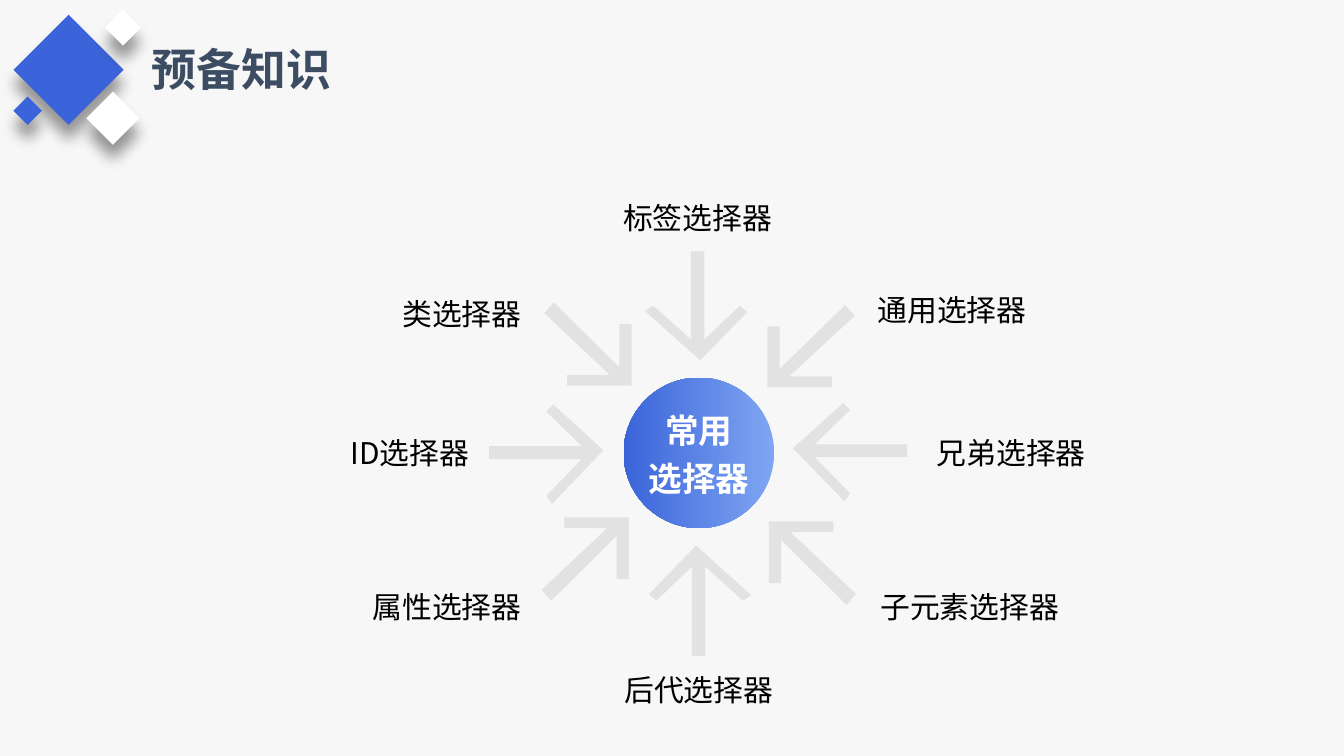
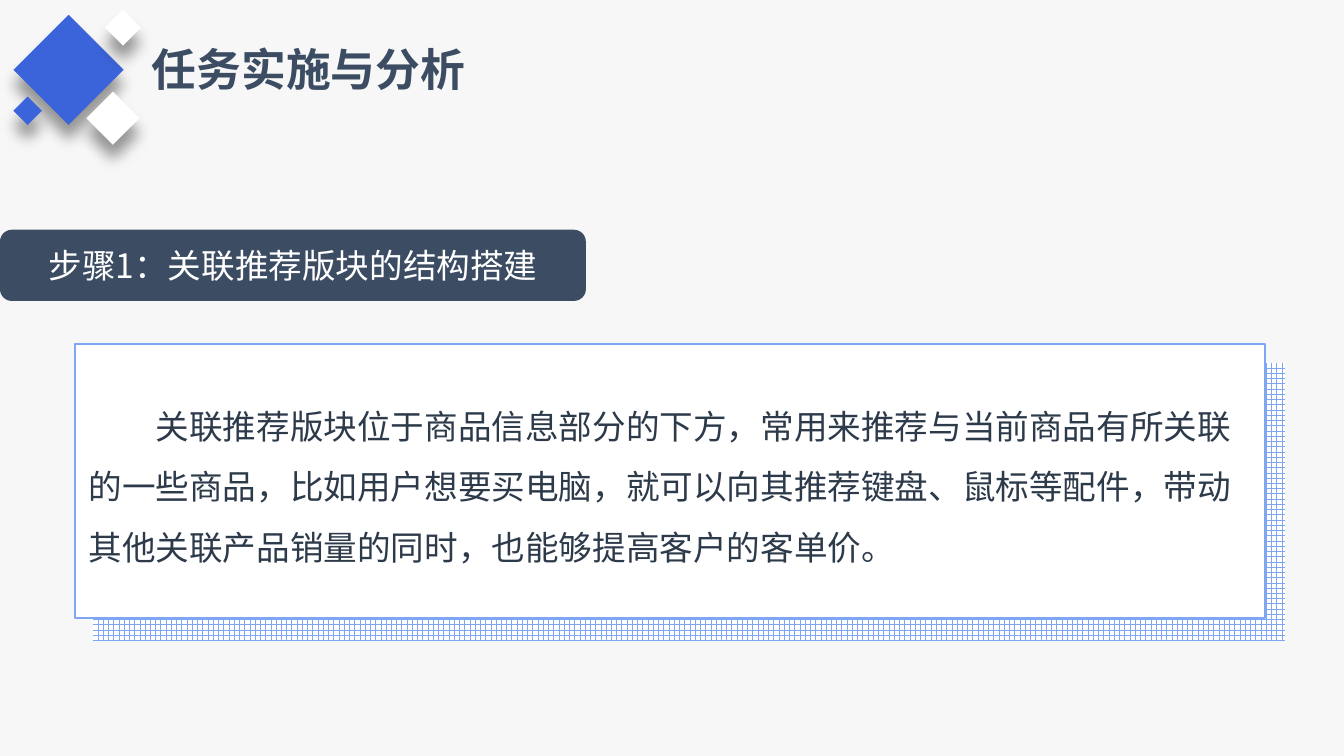
from lxml import etree
from pptx import Presentation
from pptx import util as u
from pptx.dml.color import RGBColor
from pptx.enum import dml, shapes, text
from pptx.oxml import ns

Inches = u.Inches
FONT = "Noto Sans CJK SC"
BLUE = RGBColor(0x3B, 0x64, 0xDA)
LIGHT_BLUE = RGBColor(0x7F, 0xA6, 0xF2)
SLATE = RGBColor(0x3C, 0x4D, 0x63)
INK = RGBColor(0x2D, 0x3A, 0x4A)
ARROW_GREY = RGBColor(0xE2, 0xE2, 0xE2)
PAPER = RGBColor(0xF7, 0xF7, 0xF7)
WHITE = RGBColor(0xFF, 0xFF, 0xFF)
BLACK = RGBColor(0, 0, 0)

RECT = shapes.MSO_SHAPE.RECTANGLE
LEFT, CENTER, RIGHT = text.PP_ALIGN.LEFT, text.PP_ALIGN.CENTER, text.PP_ALIGN.RIGHT
MIDDLE = text.MSO_ANCHOR.MIDDLE
BOX_INSETS = (0.1, 0.05, 0.1, 0.05)
LABEL_INSETS = (0.08, 0.04, 0.08, 0.04)

# Header diamonds: left, top, side, colour
DIAMONDS = [
    (0.22, 0.23, 0.58, BLUE),
    (0.7, 0.74, 0.28, WHITE),
    (0.82, 0.11, 0.19, WHITE),
    (0.13, 0.75, 0.15, BLUE),
]

# Arrow outlines in a unit square: one points down, one to the lower right
DOWN = [(0.58, 0), (0.45, 0), (0.45, 0.81), (0.08, 0.5), (0, 0.55),
        (0.54, 1), (1, 0.56), (0.93, 0.5), (0.58, 0.81)]
DOWN_RIGHT = [(0.26, 1), (1, 1), (1, 0.26), (0.86, 0.26), (0.86, 0.78),
              (0.11, 0), (0, 0.13), (0.75, 0.87), (0.26, 0.87)]


def flip_x(outline):
    return [(1 - x, y) for x, y in outline]


def flip_y(outline):
    return [(x, 1 - y) for x, y in outline]


def turn(outline):
    return [(y, 1 - x) for x, y in outline]


# Arrows around the hub: outline, box
ARROWS = [
    (flip_x(flip_y(DOWN)), (4.83, 4.06, 0.76, 0.82)),
    (flip_x(flip_y(DOWN_RIGHT)), (5.72, 3.88, 0.65, 0.62)),
    (flip_x(DOWN_RIGHT), (5.71, 2.27, 0.65, 0.61)),
    (flip_y(DOWN_RIGHT), (4.03, 3.85, 0.65, 0.62)),
    (DOWN_RIGHT, (4.05, 2.25, 0.65, 0.62)),
    (DOWN, (4.8, 1.87, 0.76, 0.81)),
    (turn(DOWN), (3.64, 3.01, 0.85, 0.74)),
    (flip_x(turn(DOWN)), (5.9, 3, 0.85, 0.73)),
]

# Selector labels: wording, left, top, width, alignment
SELECTORS = [
    ("类选择器", 2, 2.08, 1.96, RIGHT),
    ("ID选择器", 2.05, 3.12, 1.52, RIGHT),
    ("属性选择器", 2, 4.26, 1.96, RIGHT),
    ("后代选择器", 4.01, 4.88, 2.38, CENTER),
    ("子元素选择器", 6.47, 4.26, 1.92, LEFT),
    ("兄弟选择器", 6.89, 3.12, 1.49, LEFT),
    ("通用选择器", 6.45, 2.05, 1.94, LEFT),
    ("标签选择器", 4.18, 1.37, 2.02, CENTER),
]


def box_of(box):
    return [Inches(value) for value in box]


def write(shape, lines, size, color, bold=False, align=LEFT, spacing=None,
          insets=BOX_INSETS, anchor=MIDDLE, wrap=True):
    frame = shape.text_frame
    left, top, right, bottom = box_of(insets)
    frame_format = {"word_wrap": wrap, "vertical_anchor": anchor,
                    "margin_left": left, "margin_top": top,
                    "margin_right": right, "margin_bottom": bottom}
    for name, value in frame_format.items():
        setattr(frame, name, value)
    for index, line in enumerate(lines):
        paragraph = frame.add_paragraph() if index else frame.paragraphs[0]
        paragraph.alignment = align
        paragraph.line_spacing = spacing
        run = paragraph.add_run()
        run.text = line
        font_format = {"size": u.Pt(size), "bold": bold, "name": FONT}
        for name, value in font_format.items():
            setattr(run.font, name, value)
        run.font.color.rgb = color
        # The Chinese glyphs take their face from the East Asian slot
        east_asian = etree.SubElement(run.font._element, ns.qn("a:ea"))
        east_asian.set("typeface", FONT)
    return frame


def add_block(slide, kind, box, fill=None):
    block = slide.shapes.add_shape(kind, *box_of(box))
    block.shadow.inherit = False
    block.line.fill.background()
    if fill is not None:
        block.fill.solid()
        block.fill.fore_color.rgb = fill
    return block


def add_drop_shadow(shape):
    effects = shape._element.spPr.find(ns.qn("a:effectLst"))
    shadow = etree.SubElement(effects, ns.qn("a:outerShdw"), {
        "blurRad": str(u.Pt(8)), "dist": str(u.Pt(8)),
        "dir": "5400000", "algn": "t", "rotWithShape": "0"})
    color = etree.SubElement(shadow, ns.qn("a:srgbClr"), val="000000")
    etree.SubElement(color, ns.qn("a:alpha"), val="40000")


def add_title(slide, title, width):
    box = slide.shapes.add_textbox(*box_of((1.03, 0.26, width, 0.5)))
    frame = write(box, [title], 24, SLATE, bold=True,
                  anchor=text.MSO_ANCHOR.TOP, wrap=False)
    frame.auto_size = text.MSO_AUTO_SIZE.SHAPE_TO_FIT_TEXT


def add_diamonds(slide):
    for left, top, side, color in DIAMONDS:
        diamond = add_block(slide, RECT, (left, top, side, side), color)
        diamond.rotation = 45
        add_drop_shadow(diamond)


def new_slide(deck):
    slide = deck.slides.add_slide(deck.slide_layouts[6])
    slide.background.fill.solid()
    slide.background.fill.fore_color.rgb = PAPER
    return slide


def add_header(slide, title, width):
    add_title(slide, title, width)
    add_diamonds(slide)


def add_arrow(slide, outline, box):
    left, top, width, height = box
    points = [(Inches(left + x * width), Inches(top + y * height))
              for x, y in outline]
    builder = slide.shapes.build_freeform(*points[0])
    builder.add_line_segments(points[1:], close=True)
    arrow = builder.convert_to_shape()
    arrow.shadow.inherit = False
    arrow.line.fill.background()
    arrow.fill.solid()
    arrow.fill.fore_color.rgb = ARROW_GREY


def add_selector(slide, wording, left, top, width, align):
    label = slide.shapes.add_textbox(*box_of((left, top, width, 0.5)))
    write(label, [wording], 16, BLACK, align=align, insets=LABEL_INSETS)


def add_hub(slide):
    hub = add_block(slide, shapes.MSO_SHAPE.OVAL, (4.64, 2.81, 1.12, 1.12))
    hub.fill.gradient()
    hub.fill.gradient_angle = 180
    for stop, color in zip(hub.fill.gradient_stops, (LIGHT_BLUE, BLUE)):
        stop.color.rgb = color
    write(hub, ["常用", "选择器"], 18, WHITE, bold=True, align=CENTER,
          spacing=1.2, insets=(0, 0, 0, 0.04))


def add_grid_backing(slide):
    backing = add_block(slide, RECT, (0.69, 2.7, 8.87, 2.07))
    backing.fill.patterned()
    backing.fill.pattern = dml.MSO_PATTERN.LARGE_GRID
    backing.fill.fore_color.rgb = LIGHT_BLUE
    backing.fill.back_color.rgb = WHITE


def add_step_banner(slide, wording):
    banner = add_block(slide, shapes.MSO_SHAPE.ROUNDED_RECTANGLE,
                       (0, 1.71, 4.36, 0.53), SLATE)
    write(banner, [wording], 18, WHITE, align=CENTER)


def add_body_panel(slide, wording):
    panel = add_block(slide, RECT, (0.56, 2.56, 8.85, 2.04), WHITE)
    panel.line.color.rgb = LIGHT_BLUE
    panel.line.width = u.Pt(1)
    frame = write(panel, [wording], 18, INK, spacing=1.5,
                  insets=(0.1, 0.05, 0.1, 0.12))
    properties = frame.paragraphs[0]._p.get_or_add_pPr()
    properties.set("marL", "0")
    properties.set("indent", str(Inches(0.5)))


def main():
    # Widescreen, 16 to 9
    deck = Presentation()
    deck.slide_width = Inches(10)
    deck.slide_height = Inches(10 * 9 / 16)

    # Selectors around the hub
    selectors = new_slide(deck)
    add_header(selectors, "预备知识", 1.54)
    for arrow in ARROWS:
        add_arrow(selectors, *arrow)
    for selector in SELECTORS:
        add_selector(selectors, *selector)
    add_hub(selectors)

    # Step 1 of the task
    step = new_slide(deck)
    add_grid_backing(step)
    add_header(step, "任务实施与分析", 2.54)
    add_step_banner(step, "步骤1：关联推荐版块的结构搭建")
    add_body_panel(step, "关联推荐版块位于商品信息部分的下方，常用来推荐与当前商品有所关联"
                         "的一些商品，比如用户想要买电脑，就可以向其推荐键盘、鼠标等配件，带动"
                         "其他关联产品销量的同时，也能够提高客户的客单价。")

    deck.save("out.pptx")


if __name__ == "__main__":
    main()
